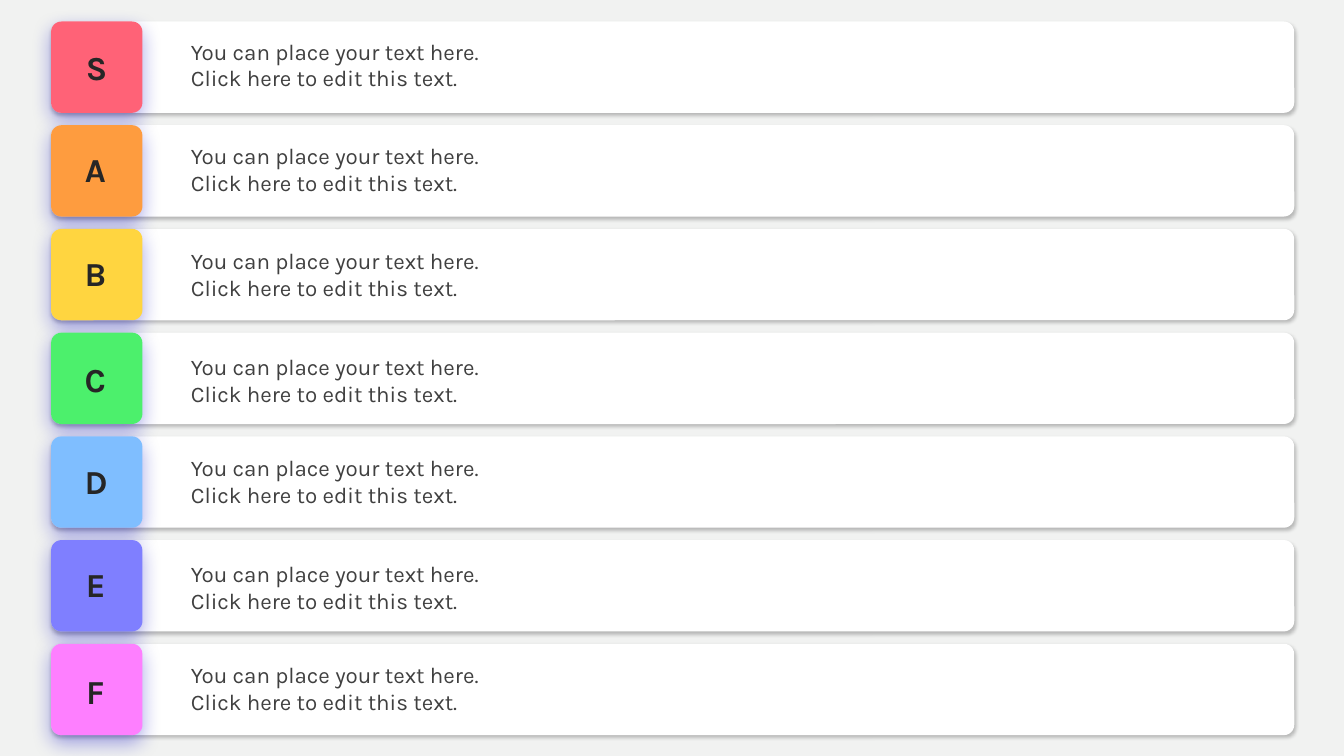
from lxml import etree
from pptx import Presentation
from pptx.dml.color import RGBColor
from pptx.enum.shapes import MSO_SHAPE
from pptx.enum.text import PP_ALIGN
from pptx.oxml.ns import qn
from pptx.util import Inches, Pt

ROUNDED = MSO_SHAPE.ROUNDED_RECTANGLE
LEFT, CENTER = PP_ALIGN.LEFT, PP_ALIGN.CENTER

FONT = "Karla"
DESCRIPTION = "You can place your text here. Click here to edit this text."
COLORS = {
    "background": "F1F2F1", "card": "FFFFFF", "letter": "262626", "text": "404040",
    "S": "FF6277", "A": "FE9C3F", "B": "FFD540", "C": "4CF06C",
    "D": "7FBEFF", "E": "7F7FFF", "F": "FE7FFF",
}
CARD_SHADOW = {"color": "000000", "opacity": 23, "blur": 2, "distance": 1}
TILE_SHADOW = {"color": "0000BF", "opacity": 35, "blur": 11, "distance": 4}

# tier, letter left, letter top, letter width, description top
TIERS = [
    ("S", 0.54, 0.30, 0.34, 0.28),
    ("A", 0.52, 1.06, 0.38, 1.06),
    ("B", 0.53, 1.83, 0.36, 1.84),
    ("C", 0.53, 2.62, 0.36, 2.63),
    ("D", 0.52, 3.38, 0.39, 3.38),
    ("E", 0.54, 4.15, 0.34, 4.17),
    ("F", 0.54, 4.94, 0.34, 4.92),
]
SLIDE_WIDTH = 10
SLIDE_HEIGHT = SLIDE_WIDTH * 9 / 16
ROW_LEFT, FIRST_TOP, LAST_TOP = 0.38, 0.16, 4.79
CARD_WIDTH, TILE_SIZE = 9.25, 0.68
ROW_PITCH = (LAST_TOP - FIRST_TOP) / (len(TIERS) - 1)


def add_shadow(shape, color, opacity, blur, distance):
    shape.shadow.inherit = False
    effects = shape._element.spPr.find(qn("a:effectLst"))
    outer = etree.SubElement(effects, qn("a:outerShdw"), blurRad=str(Pt(blur)),
                             dist=str(Pt(distance)), dir="5400000", rotWithShape="0")
    tint = etree.SubElement(outer, qn("a:srgbClr"), val=color)
    etree.SubElement(tint, qn("a:alpha"), val=str(opacity * 1000))


def add_panel(page, top, width, color, shadow):
    panel = page.shapes.add_shape(ROUNDED, Inches(ROW_LEFT), Inches(top),
                                  Inches(width), Inches(TILE_SIZE))
    panel.adjustments[0] = 0.113
    panel.fill.solid()
    panel.fill.fore_color.rgb = RGBColor.from_string(color)
    panel.line.fill.background()
    add_shadow(panel, **shadow)


def add_text(page, text, left, top, width, height, size, color, bold, align, wrap):
    box = page.shapes.add_textbox(Inches(left), Inches(top), Inches(width), Inches(height))
    frame = box.text_frame
    frame.word_wrap = wrap
    frame.text = text
    para = frame.paragraphs[0]
    para.alignment = align
    span = para.runs[0]
    span.font.name = FONT
    span.font.size = Pt(size)
    span.font.bold = bold
    span.font.color.rgb = RGBColor.from_string(color)
    return frame


deck = Presentation()
deck.slide_width, deck.slide_height = Inches(SLIDE_WIDTH), Inches(SLIDE_HEIGHT)
page = deck.slides.add_slide(deck.slide_layouts[6])
page.background.fill.solid()
page.background.fill.fore_color.rgb = RGBColor.from_string(COLORS["background"])

row_tops = [FIRST_TOP + row * ROW_PITCH for row in range(len(TIERS))]

for top in row_tops:
    add_panel(page, top, CARD_WIDTH, COLORS["card"], CARD_SHADOW)

for top, (tier, *_) in zip(row_tops, TIERS):
    add_panel(page, top, TILE_SIZE, COLORS[tier], TILE_SHADOW)

for tier, left, top, width, _ in TIERS:
    add_text(page, tier, left, top, width, 0.4, 18, COLORS["letter"], True, CENTER, False)

for *_, top in TIERS:
    frame = add_text(page, DESCRIPTION, 1.42, top, 2.2, 0.41, 12,
                     COLORS["text"], False, LEFT, True)
    frame.margin_left = frame.margin_right = frame.margin_top = frame.margin_bottom = 0

deck.save("out.pptx")
